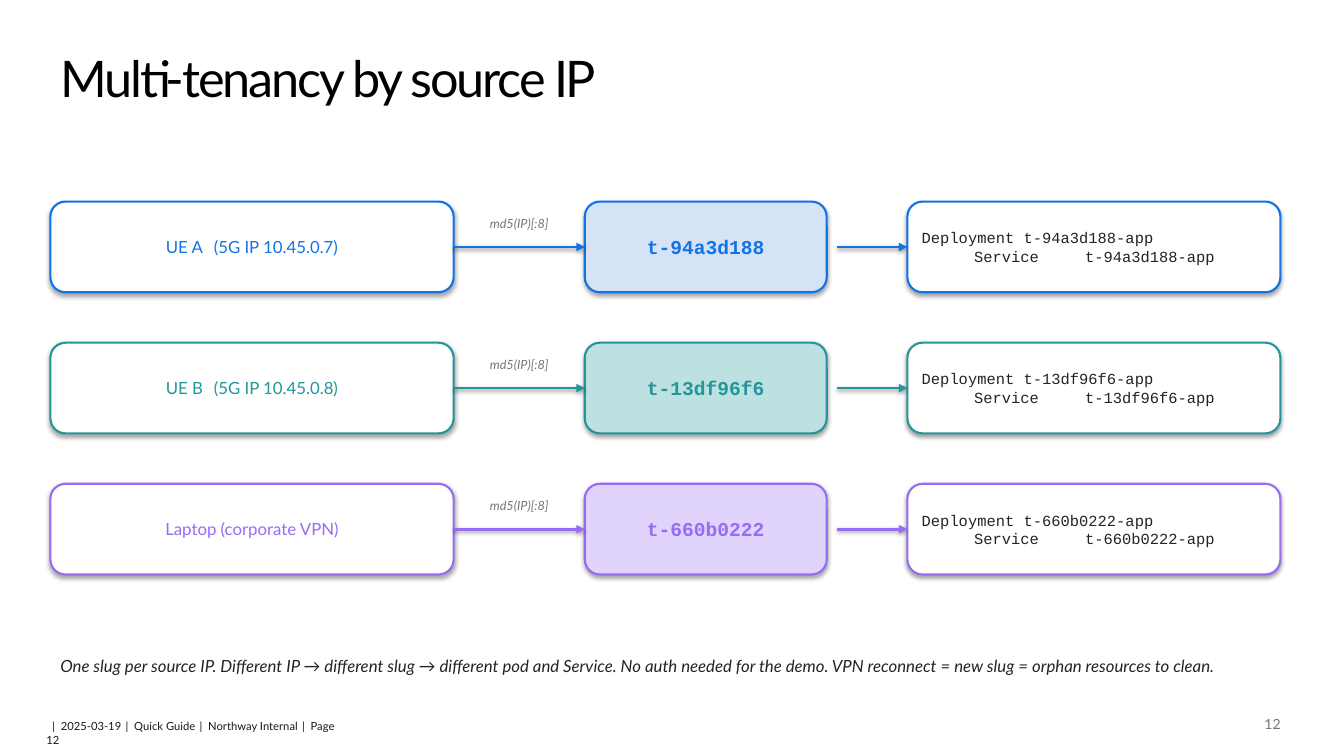
import pptx
import pptx.util
import pptx.dml.color
import pptx.enum.shapes
import pptx.enum.text
import pptx.oxml
import pptx.oxml.ns
from pptx.util import Inches, Pt
from pptx.dml.color import RGBColor
from pptx.enum.text import PP_ALIGN, MSO_ANCHOR, MSO_AUTO_SIZE

BLACK = RGBColor(0x00, 0x00, 0x00)
WHITE = RGBColor(0xFF, 0xFF, 0xFF)
INK = RGBColor(0x24, 0x24, 0x24)
FOOTER_INK = RGBColor(0x18, 0x18, 0x18)
GREY = RGBColor(0x76, 0x76, 0x76)
BLUE = RGBColor(0x11, 0x74, 0xE6)
PALE_BLUE = RGBColor(0xD6, 0xE2, 0xF5)
TEAL = RGBColor(0x23, 0x96, 0x9A)
PALE_TEAL = RGBColor(0xBD, 0xE0, 0xE1)
PURPLE = RGBColor(0x97, 0x6C, 0xF4)
PALE_PURPLE = RGBColor(0xE0, 0xD3, 0xFC)
SANS, MONO = "Lato", "Courier New"

TITLE = "Multi-tenancy by source IP"
# Text is a list of spans: (words, extra letter spacing in points)
WIDE_GAP = (" ", 4.6)
TENANTS = [
    ([("UE A", 0), WIDE_GAP, ("(5G IP 10.45.0.7)", 0)], "t-94a3d188", BLUE, PALE_BLUE),
    ([("UE B", 0), WIDE_GAP, ("(5G IP 10.45.0.8)", 0)], "t-13df96f6", TEAL, PALE_TEAL),
    ([("Laptop (corporate VPN)", 0)], "t-660b0222", PURPLE, PALE_PURPLE),
]
HASH_RULE = "md5(IP)[:8]"
SUMMARY = ("One slug per source IP. Different IP → different slug → different pod and "
           "Service. No auth needed for the demo. VPN reconnect = new slug = orphan "
           "resources to clean.")
FOOTER = ["2025-03-19", "Quick Guide", "Northway Internal", "Page 12"]
PAGE_NUMBER = "12"

ROW_TOP, ROW_STEP, BOX_HEIGHT = 2, 1.4, 0.9
SOURCE_LEFT, SOURCE_WIDTH = 0.5, 4
SLUG_LEFT, SLUG_WIDTH = 5.8, 2.4
RESOURCE_LEFT, RESOURCE_WIDTH = 9, 3.7
SERVICE_TABS = [0.52, 1.62]
TOP, LEFT, RIGHT_SIDE = 0, 1, 3


def element(tag, **values):
    item = pptx.oxml.parse_xml(f"<{tag} {pptx.oxml.ns.nsdecls('a')}/>")
    for name, value in values.items():
        item.set(name, str(value))
    return item


def write(para, spans, align=PP_ALIGN.LEFT, line_spacing=None, **font):
    """Fill a paragraph with spans that share one font."""
    para.alignment = align
    if line_spacing:
        para.line_spacing = line_spacing
    color = font.pop("color")
    for words, spacing in spans:
        span = para.add_run()
        span.text = words
        for name, value in font.items():
            setattr(span.font, name, value)
        span.font.color.rgb = color
        if spacing:
            span.font._element.set("spc", str(round(spacing * 100)))


def add_shadow(shape, opacity, distance):
    effects = element("a:effectLst")
    shadow = element("a:outerShdw", blurRad=Pt(3.1), dist=Pt(distance),
                     dir=5400000, rotWithShape=0)
    black = element("a:srgbClr", val="000000")
    black.append(element("a:alpha", val=opacity * 1000))
    shadow.append(black)
    effects.append(shadow)
    shape._element.spPr.append(effects)


def add_box(page, left, top, width, fill, outline):
    box = page.shapes.add_shape(
        pptx.enum.shapes.MSO_SHAPE.ROUNDED_RECTANGLE,
        Inches(left), Inches(top), Inches(width), Inches(BOX_HEIGHT))
    box.fill.solid()
    box.fill.fore_color.rgb = fill
    box.line.color.rgb = outline
    box.line.width = Pt(1.5)
    add_shadow(box, 35, 1.8)
    box.text_frame.word_wrap = True
    box.text_frame.vertical_anchor = MSO_ANCHOR.MIDDLE
    return box


def add_arrow(page, start, end, middle, color):
    arrow = page.shapes.add_connector(
        pptx.enum.shapes.MSO_CONNECTOR.STRAIGHT,
        Inches(start), Inches(middle), Inches(end), Inches(middle))
    arrow.line.color.rgb = color
    arrow.line.width = Pt(2)
    arrow.line._get_or_add_ln().append(element("a:tailEnd", type="triangle"))
    add_shadow(arrow, 38, 1.6)
    return arrow


def add_label(page, left, top, width, height, spans, **style):
    label = page.shapes.add_textbox(Inches(left), Inches(top), Inches(width), Inches(height))
    label.text_frame.word_wrap = True
    write(label.text_frame.paragraphs[0], spans, name=SANS, **style)
    return label


def add_title(page):
    title = page.shapes.title
    place = {"left": 0.52, "top": 0.52, "width": 9.14, "height": 1.18}
    for name, value in place.items():
        setattr(title, name, Inches(value))
    frame = title.text_frame
    layout = {"margin_left": Inches(0.08), "margin_top": Inches(0.04), "margin_right": 0,
              "margin_bottom": 0, "vertical_anchor": MSO_ANCHOR.TOP,
              "auto_size": MSO_AUTO_SIZE.NONE, "word_wrap": True}
    for name, value in layout.items():
        setattr(frame, name, value)
    write(frame.paragraphs[0], [(TITLE, -1.6)], line_spacing=0.85,
          name=SANS, size=Pt(36), color=BLACK)


def add_tenant(page, top, source_spans, slug, color, tint):
    middle = top + BOX_HEIGHT / 2
    source = add_box(page, SOURCE_LEFT, top, SOURCE_WIDTH, WHITE, color)
    write(source.text_frame.paragraphs[0], source_spans, PP_ALIGN.CENTER,
          name=SANS, size=Pt(12), color=color)

    slug_box = add_box(page, SLUG_LEFT, top, SLUG_WIDTH, tint, color)
    write(slug_box.text_frame.paragraphs[0], [(slug, 0)], PP_ALIGN.CENTER,
          name=MONO, size=Pt(14), bold=True, color=color)

    resources = add_box(page, RESOURCE_LEFT, top, RESOURCE_WIDTH, WHITE, color)
    frame = resources.text_frame
    deployment, service = frame.paragraphs[0], frame.add_paragraph()
    stops = element("a:tabLst")
    for position in SERVICE_TABS:
        stops.append(element("a:tab", pos=Inches(position), algn="l"))
    service._p.get_or_add_pPr().append(stops)
    mono = {"name": MONO, "size": Pt(11), "color": INK}
    write(deployment, [(f"Deployment {slug}-app", 0)], **mono)
    write(service, [(f"\tService\t{slug}-app", 0)], **mono)

    source_right = SOURCE_LEFT + SOURCE_WIDTH
    hashing = add_arrow(page, source_right, SLUG_LEFT, middle, color)
    hashing.begin_connect(source, RIGHT_SIDE)
    hashing.end_connect(slug_box, LEFT)
    creating = add_arrow(page, SLUG_LEFT + SLUG_WIDTH + 0.1, RESOURCE_LEFT, middle, color)
    creating.end_connect(resources, LEFT)
    add_label(page, source_right, top + 0.05, SLUG_LEFT - source_right, 0.3,
              [(HASH_RULE, 0)], align=PP_ALIGN.CENTER, line_spacing=1.3,
              size=Pt(9), italic=True, color=GREY)


def add_footer(page):
    spans = [span for part in FOOTER for span in ((" | ", 1), (part, 0))]
    spans[0] = ("| ", 1)
    footer = add_label(page, 0.46, 7.14, 2.87, 0.26, spans, size=Pt(8), color=FOOTER_INK)
    for side in ("left", "top", "right", "bottom"):
        setattr(footer.text_frame, f"margin_{side}", 0)
    footer.text_frame.paragraphs[0]._p.get_or_add_pPr().set("indent", str(Inches(0.06)))


def main():
    deck = pptx.Presentation()
    deck.slide_width, deck.slide_height = Inches(13.33), Inches(7.5)
    page = deck.slides.add_slide(deck.slide_layouts[5])
    add_title(page)
    for row, tenant in enumerate(TENANTS):
        add_tenant(page, ROW_TOP + row * ROW_STEP, *tenant)
    add_label(page, 0.5, 6.4, 12.3, 0.7, [(SUMMARY, 0)], line_spacing=1.3,
              size=Pt(12), italic=True, color=INK)
    add_label(page, 12, 7.05, 0.8, 0.3, [(PAGE_NUMBER, 0)], align=PP_ALIGN.RIGHT,
              size=Pt(10), color=GREY)
    add_footer(page)
    deck.save("out.pptx")


if __name__ == "__main__":
    main()
